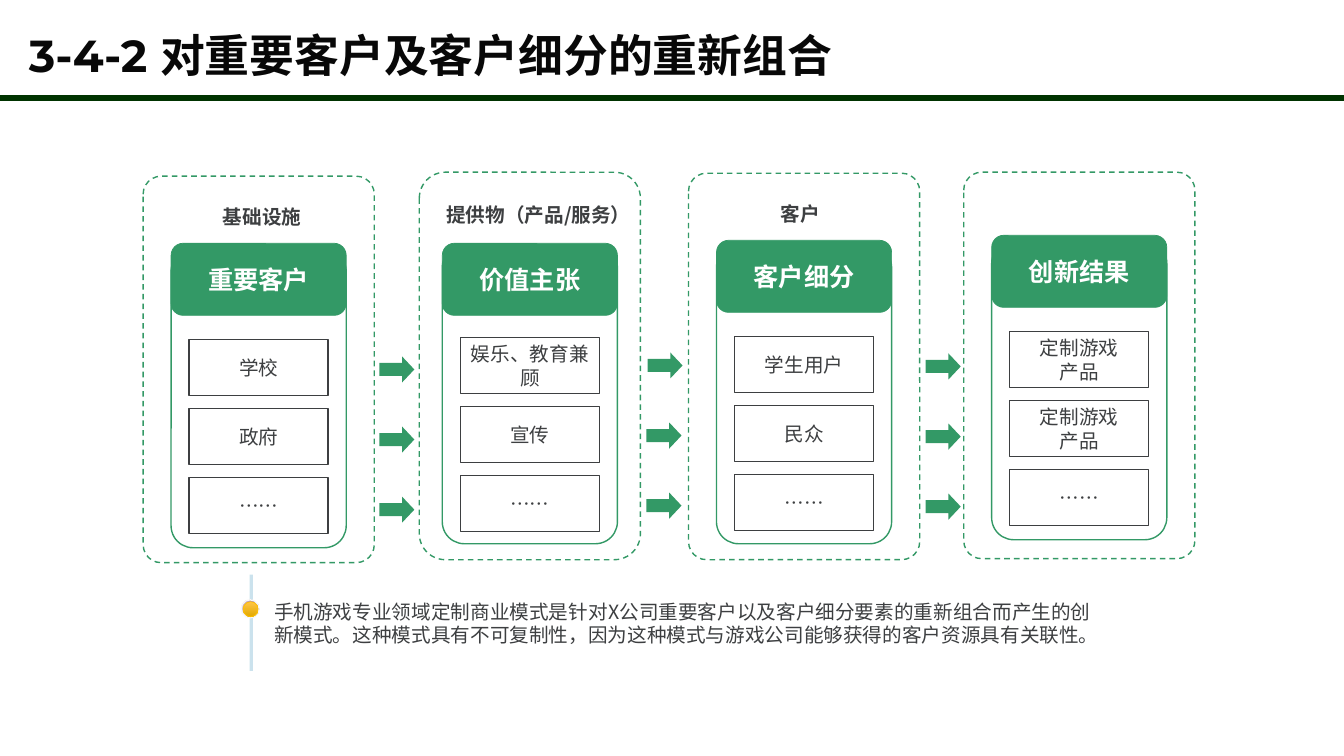
import pptx
import pptx.util
import pptx.dml.color
import pptx.enum.dml
import pptx.enum.shapes
import pptx.enum.text
import pptx.oxml
import pptx.oxml.ns

RGBColor = pptx.dml.color.RGBColor
Shape = pptx.enum.shapes.MSO_SHAPE
Anchor = pptx.enum.text.MSO_ANCHOR
Align = pptx.enum.text.PP_ALIGN

GREEN = RGBColor(0x33, 0x99, 0x66)
DARK_GREEN = RGBColor(0x00, 0x33, 0x00)
GREY = RGBColor(0x3D, 0x3F, 0x41)
BLACK = RGBColor(0x08, 0x08, 0x08)
WHITE = RGBColor(0xFF, 0xFF, 0xFF)
PALE_BLUE = RGBColor(0x98, 0xC7, 0xDC)
OFF_WHITE = RGBColor(0xF8, 0xF8, 0xF8)
AMBER = RGBColor(0xFF, 0xC0, 0x00)
AMBER_STOPS = (RGBColor(0xFF, 0xC5, 0x48), RGBColor(0xE1, 0xA9, 0x00))
MAUVE_STOPS = (RGBColor(0xE5, 0xDB, 0xE5), RGBColor(0xA5, 0x7D, 0xA5))

SANS = "Noto Sans CJK SC"
TITLE_FONT = "Montserrat"
EMU_PER_PX = 914400 / 100.7
SLIDE_SIZE = (1343, 755)

TITLE = "3-4-2 对重要客户及客户细分的重新组合"
SUMMARY = ("手机游戏专业领域定制商业模式是针对X公司重要客户以及客户细分要素的重新组合而产生的创新模式。"
           "这种模式具有不可复制性，因为这种模式与游戏公司能够获得的客户资源具有关联性。")

COLUMNS = [
    dict(label="基础设施", label_center=262, label_top=200, header="重要客户",
         cells=["学校", "政府", "……"], frame=(143, 176, 231, 386), radius=18,
         left=171, panel_top=249, header_top=243, cell_top=339),
    dict(label="提供物（产品/服务）", label_center=538, label_top=198, header="价值主张",
         cells=["娱乐、教育兼顾", "宣传", "……"], frame=(419, 172, 221, 387), radius=26,
         left=442, panel_top=245, header_top=243, cell_top=337),
    dict(label="客户", label_center=800, label_top=197, header="客户细分",
         cells=["学生用户", "民众", "……"], frame=(688, 173, 231, 386), radius=18,
         left=716, panel_top=245, header_top=240, cell_top=336),
    dict(label=None, header="创新结果",
         cells=["定制游戏\n产品", "定制游戏\n产品", "……"], frame=(963, 172, 231, 386), radius=18,
         left=991, panel_top=241, header_top=235, cell_top=331),
]
LABEL_WIDTH, LABEL_HEIGHT = 220, 34
PANEL_WIDTH, PANEL_HEIGHT, PANEL_RADIUS = 175, 298, 22
HEADER_HEIGHT, HEADER_RADIUS = 72, 12
CELL_INDENT, CELL_WIDTH, CELL_HEIGHT, CELL_PITCH = 18, 139, 56, 69
ARROW_GROUPS = [((379, 379, 379), 356), ((647, 646, 646), 352), ((925, 925, 925), 353)]
ARROW_SIZE, ARROW_PITCH = (35, 26), 70

deck = pptx.Presentation()


def px(value):
    return pptx.util.Emu(round(value * EMU_PER_PX))


deck.slide_width, deck.slide_height = map(px, SLIDE_SIZE)
page = deck.slides.add_slide(deck.slide_layouts[6])


def write(box, text, size, color, font=SANS, bold=False, align=Align.CENTER,
          anchor=Anchor.MIDDLE, spacing=None):
    frame = box.text_frame
    frame.word_wrap = True
    frame.vertical_anchor = anchor
    for index, line in enumerate(text.split("\n")):
        para = frame.paragraphs[0] if index == 0 else frame.add_paragraph()
        para.alignment = align
        if spacing:
            para.line_spacing = spacing
        span = para.add_run()
        span.text = line
        span.font.size = pptx.util.Pt(size)
        span.font.bold = bold
        span.font.name = font
        span.font.color.rgb = color
        east_asian = pptx.oxml.parse_xml(
            f'<a:ea {pptx.oxml.ns.nsdecls("a")} typeface="{SANS}"/>')
        span.font._element.find(pptx.oxml.ns.qn("a:latin")).addnext(east_asian)


def add_text(bounds, text, size, color, **style):
    box = page.shapes.add_textbox(*map(px, bounds))
    write(box, text, size, color, anchor=Anchor.TOP, **style)


def add_block(kind, bounds, fill=None, line=None, weight=1, radius=None, dashed=False):
    block = page.shapes.add_shape(kind, *map(px, bounds))
    block.shadow.inherit = False
    if fill is None:
        block.fill.background()
    elif isinstance(fill, RGBColor):
        block.fill.solid()
        block.fill.fore_color.rgb = fill
    else:
        stops, angle = fill
        block.fill.gradient()
        block.fill.gradient_angle = angle
        for stop, color in zip(block.fill.gradient_stops, stops):
            stop.color.rgb = color
    if line is None:
        block.line.fill.background()
    else:
        block.line.color.rgb = line
        block.line.width = pptx.util.Pt(weight)
    if dashed:
        block.line.dash_style = pptx.enum.dml.MSO_LINE.DASH
    if radius:
        block.adjustments[0] = radius / min(bounds[2:])
    return block


def add_rule(ends, color, weight, opacity=None):
    rule = page.shapes.add_connector(
        pptx.enum.shapes.MSO_CONNECTOR.STRAIGHT, *map(px, ends))
    rule.line.color.rgb = color
    rule.line.width = pptx.util.Pt(weight)
    namespace = pptx.oxml.ns.nsdecls("a")
    if opacity:
        alpha = pptx.oxml.parse_xml(f'<a:alpha {namespace} val="{opacity * 1000}"/>')
        next(rule._element.iter(pptx.oxml.ns.qn("a:srgbClr"))).append(alpha)
    rule._element.spPr.append(pptx.oxml.parse_xml(f"<a:effectLst {namespace}/>"))


def add_column(column):
    left = column["left"]
    add_block(Shape.ROUNDED_RECTANGLE, (left, column["panel_top"], PANEL_WIDTH, PANEL_HEIGHT),
              line=GREEN, radius=PANEL_RADIUS)
    header = add_block(Shape.ROUNDED_RECTANGLE,
                       (left, column["header_top"], PANEL_WIDTH, HEADER_HEIGHT),
                       fill=GREEN, line=GREEN, weight=0.5, radius=HEADER_RADIUS)
    write(header, column["header"], 18, WHITE, bold=True)
    add_block(Shape.ROUNDED_RECTANGLE, column["frame"], line=GREEN,
              radius=column["radius"], dashed=True)
    if column["label"]:
        label_left = column["label_center"] - LABEL_WIDTH // 2
        add_text((label_left, column["label_top"], LABEL_WIDTH, LABEL_HEIGHT),
                 column["label"], 14, GREY, bold=True)
    for row, text in enumerate(column["cells"]):
        top = column["cell_top"] + row * CELL_PITCH
        cell = add_block(Shape.RECTANGLE, (left + CELL_INDENT, top, CELL_WIDTH, CELL_HEIGHT),
                         line=GREY)
        write(cell, text, 14, GREY)


add_text((19, 29, 1217, 78), TITLE, 32, BLACK, font=TITLE_FONT, bold=True,
         align=Align.LEFT, spacing=0.9)
for column in COLUMNS:
    add_column(column)
for lefts, top in ARROW_GROUPS:
    for row, left in enumerate(lefts):
        arrow = add_block(Shape.RIGHT_ARROW, (left, top + row * ARROW_PITCH, *ARROW_SIZE),
                          fill=GREEN)
        arrow.adjustments[1] = 0.47

add_text((264, 594, 847, 57), SUMMARY, 14, GREY, align=Align.LEFT)
add_rule((251, 574, 251, 670), PALE_BLUE, 2.25, opacity=50)
add_block(Shape.OVAL, (241, 599, 18, 18), fill=(MAUVE_STOPS, 45), line=OFF_WHITE)
add_block(Shape.OVAL, (243, 601, 15, 15), fill=(AMBER_STOPS, 270), line=AMBER, weight=0.5)
add_rule((0, 98, 1343, 98), DARK_GREEN, 4.75)

deck.save("out.pptx")
